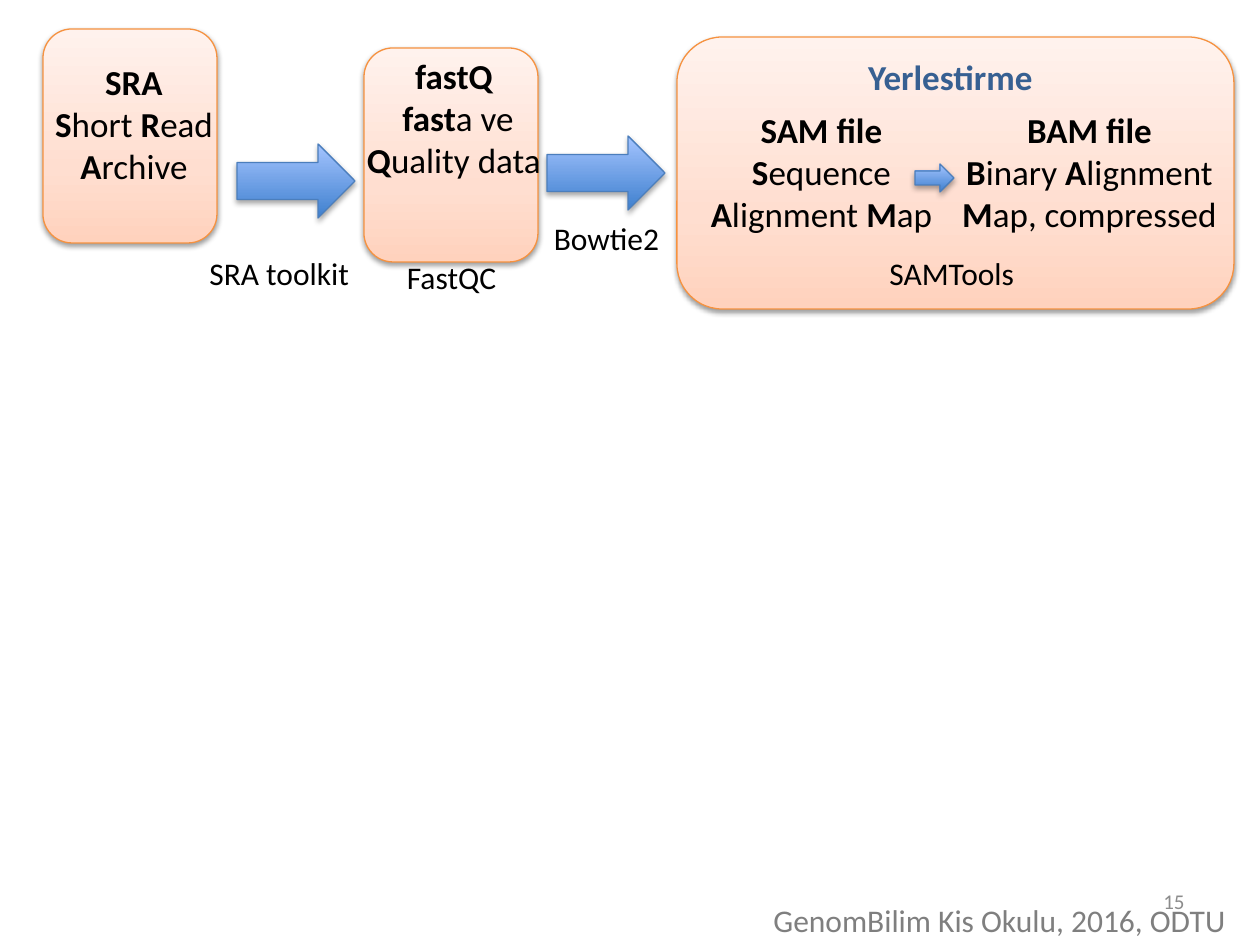
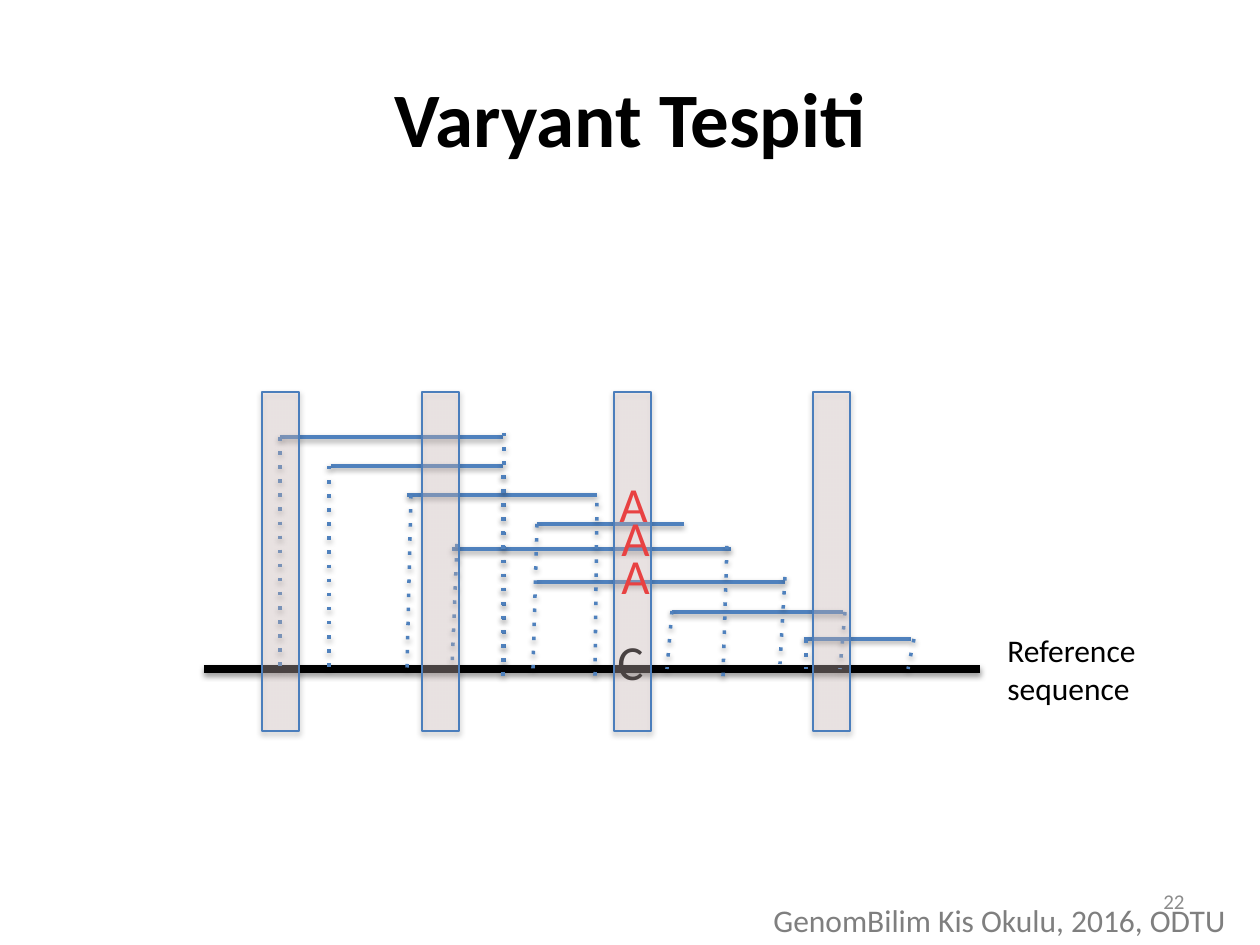
from lxml.etree import SubElement
from pptx import Presentation
from pptx.dml.color import RGBColor
from pptx.enum.shapes import MSO_CONNECTOR, MSO_SHAPE
from pptx.enum.text import MSO_ANCHOR, MSO_AUTO_SIZE, PP_ALIGN
from pptx.oxml.ns import qn
from pptx.util import Emu, Pt

EMU_PER_PX = 914400 / 126
FONT = "Calibri"
BLACK = RGBColor(0x00, 0x00, 0x00)
WHITE = RGBColor(0xFF, 0xFF, 0xFF)
RED = RGBColor(0xFF, 0x00, 0x00)
BLUE = RGBColor(0x4F, 0x81, 0xBD)
EDGE_BLUE = RGBColor(0x4B, 0x7E, 0xBC)
HEADING_BLUE = RGBColor(0x37, 0x60, 0x92)
ORANGE = RGBColor(0xF6, 0x92, 0x40)
ROSE = RGBColor(0xF2, 0xDC, 0xDB)
FOOTER_GREY = RGBColor(0x7F, 0x7F, 0x7F)
NUMBER_GREY = RGBColor(0x8C, 0x8C, 0x8C)
PEACH_STOPS = [
    (0, RGBColor(0xFF, 0xD2, 0xBD)),
    (35, RGBColor(0xFF, 0xDE, 0xD0)),
    (100, RGBColor(0xFF, 0xF2, 0xED)),
]
BLUE_STOPS = [(0, RGBColor(0x3F, 0x80, 0xCE)), (100, RGBColor(0xA4, 0xC4, 0xFF))]
SOFT_SHADOW = (38, 20000)
DEEP_SHADOW = (35, 23000)


def px(length):
    return Emu(round(length * EMU_PER_PX))


def add_colour(parent, colour, alpha=None):
    element = SubElement(parent, qn("a:srgbClr"), val=str(colour))
    if alpha is not None:
        SubElement(element, qn("a:alpha"), val=str(alpha * 1000))


def add_shadow(properties, shadow):
    alpha, distance = shadow
    effects = properties.find(qn("a:effectLst"))
    if effects is None:
        effects = SubElement(properties, qn("a:effectLst"))
    outer = SubElement(effects, qn("a:outerShdw"), blurRad="40000",
                       dist=str(distance), dir="5400000", rotWithShape="0")
    add_colour(outer, BLACK, alpha)


def add_outlined(shapes, kind, box, edge, shadow):
    shape = shapes.add_shape(kind, *map(px, box))
    shape.line.color.rgb = edge
    shape.line.width = Pt(0.75)
    shape.shadow.inherit = False
    add_shadow(shape._element.spPr, shadow)
    return shape


def add_gradient_shape(shapes, kind, box, stops, edge, shadow):
    shape = add_outlined(shapes, kind, box, edge, shadow)
    shape.fill.gradient()
    shape.fill.gradient_angle = 90
    stop_list = shape._element.spPr.find(qn("a:gradFill")).find(qn("a:gsLst"))
    for stop in list(stop_list):
        stop_list.remove(stop)
    for position, colour in stops:
        add_colour(SubElement(stop_list, qn("a:gs"), pos=str(position * 1000)), colour)


def add_panel(shapes, *box):
    add_gradient_shape(shapes, MSO_SHAPE.ROUNDED_RECTANGLE, box, PEACH_STOPS, ORANGE, SOFT_SHADOW)


def add_arrow(shapes, *box):
    add_gradient_shape(shapes, MSO_SHAPE.RIGHT_ARROW, box, BLUE_STOPS, EDGE_BLUE, DEEP_SHADOW)


def add_variant_bar(shapes, left):
    bar = add_outlined(shapes, MSO_SHAPE.RECTANGLE, (left, 392, 37, 339), EDGE_BLUE, DEEP_SHADOW)
    bar.fill.solid()
    bar.fill.fore_color.rgb = ROSE
    colour = bar._element.spPr.find(qn("a:solidFill")).find(qn("a:srgbClr"))
    SubElement(colour, qn("a:alpha"), val="30000")


def add_line(shapes, ends, colour=BLUE, width=2, dotted=False):
    line = shapes.add_connector(MSO_CONNECTOR.STRAIGHT, *map(px, ends))
    line.line.color.rgb = colour
    line.line.width = Pt(width)
    properties = line._element.spPr
    if dotted:
        SubElement(properties.find(qn("a:ln")), qn("a:prstDash"), val="dot")
    add_shadow(properties, SOFT_SHADOW)


def write_runs(paragraph, text, size, colour, align):
    paragraph.alignment = align
    for index, part in enumerate(text.split("*")):
        if part:
            run = paragraph.add_run()
            run.text = part
            run.font.name = FONT
            run.font.size = Pt(size)
            run.font.bold = index % 2 == 1
            run.font.color.rgb = colour


def add_text(shapes, box, lines, size=18, colour=BLACK, align=PP_ALIGN.LEFT):
    text_box = shapes.add_textbox(*map(px, box))
    frame = text_box.text_frame
    frame.word_wrap = True
    frame.auto_size = MSO_AUTO_SIZE.SHAPE_TO_FIT_TEXT
    for index, line in enumerate(lines):
        paragraph = frame.add_paragraph() if index else frame.paragraphs[0]
        write_runs(paragraph, line, size, colour, align)
    return frame


def add_footer(slide, number):
    frame = add_text(slide.shapes, (903, 876, 294, 50), [number], 12, NUMBER_GREY, PP_ALIGN.RIGHT)
    frame.auto_size = MSO_AUTO_SIZE.NONE
    frame.vertical_anchor = MSO_ANCHOR.MIDDLE
    add_text(slide.shapes, (761, 895, 499, 50), ["GenomBilim Kis Okulu, 2016, ODTU"], 18, FOOTER_GREY)


def add_slide(presentation, layout_index):
    slide = presentation.slides.add_slide(presentation.slide_layouts[layout_index])
    slide.background.fill.solid()
    slide.background.fill.fore_color.rgb = WHITE
    return slide


def build_pipeline_slide(presentation):
    slide = add_slide(presentation, 6)
    shapes = slide.shapes
    add_panel(shapes, 43, 29, 174, 214)
    add_panel(shapes, 677, 37, 557, 272)
    add_panel(shapes, 364, 48, 174, 214)
    add_arrow(shapes, 237, 144, 118, 74)
    add_arrow(shapes, 547, 136, 118, 74)
    add_arrow(shapes, 915, 164, 39, 28)

    tools = [
        ("SRA toolkit", (197, 248, 192, 50), PP_ALIGN.LEFT),
        ("FastQC", (354, 252, 195, 50), PP_ALIGN.CENTER),
        ("Bowtie2", (509, 213, 195, 50), PP_ALIGN.CENTER),
        ("SAMTools", (877, 248, 183, 50), PP_ALIGN.LEFT),
    ]
    for name, box, align in tools:
        add_text(shapes, box, [name], align=align)

    formats = [
        ((23, 54, 222, 140), "*SRA*", "*S*hort *R*ead *A*rchive"),
        ((677, 102, 289, 140), "*SAM file*", "*S*equence *A*lignment *M*ap"),
        ((945, 102, 289, 140), "*BAM file*", "*B*inary *A*lignment *M*ap, compressed"),
        ((343, 48, 222, 140), "*fastQ*", " *fast*a ve *Q*uality data"),
    ]
    for box, *lines in formats:
        add_text(shapes, box, lines, 20, align=PP_ALIGN.CENTER)
    add_text(shapes, (760, 49, 381, 55), ["*Yerlestirme*"], 20, HEADING_BLUE, PP_ALIGN.CENTER)
    add_footer(slide, "15")


def build_variant_slide(presentation):
    slide = add_slide(presentation, 5)
    title = slide.shapes.title
    title.left, title.top, title.width, title.height = map(px, (63, 38, 1134, 158))
    title.text_frame.vertical_anchor = MSO_ANCHOR.MIDDLE
    write_runs(title.text_frame.paragraphs[0], "*Varyant Tespiti*", 44, BLACK, PP_ALIGN.CENTER)
    add_text(slide.shapes, (995, 625, 219, 89), ["Reference sequence"])

    shapes = slide.shapes.add_group_shape().shapes
    add_line(shapes, (204, 669, 980, 669), BLACK, 4.5)
    reads = [
        (331, 503, 466), (280, 503, 437), (537, 684, 524), (407, 597, 495),
        (537, 785, 582), (452, 731, 549), (804, 911, 639), (672, 843, 612),
    ]
    for start, end, level in reads:
        add_line(shapes, (start, level, end, level))
    projections = [
        (280, 437, 280, 669), (504, 433, 504, 664), (329, 466, 329, 669),
        (503, 475, 503, 677), (411, 495, 407, 669), (597, 503, 595, 677),
        (537, 524, 533, 669), (727, 546, 723, 677), (457, 544, 452, 669),
        (785, 577, 780, 664), (672, 611, 667, 669), (845, 612, 840, 669),
        (806, 639, 806, 669), (914, 639, 908, 669),
    ]
    for ends in projections:
        add_line(shapes, ends, dotted=True)

    bases = [("A", 609, 501, RED), ("A", 609, 539, RED), ("C", 605, 625, BLACK), ("A", 607, 467, RED)]
    for base, left, top, colour in bases:
        add_text(shapes, (left, top, 88, 72), [base], 28, colour)
    for left in (614, 813, 422, 262):
        add_variant_bar(shapes, left)
    add_footer(slide, "22")


def main():
    presentation = Presentation()
    presentation.slide_width = px(1260)
    presentation.slide_height = px(945)
    build_pipeline_slide(presentation)
    build_variant_slide(presentation)
    presentation.save("out.pptx")


if __name__ == "__main__":
    main()
